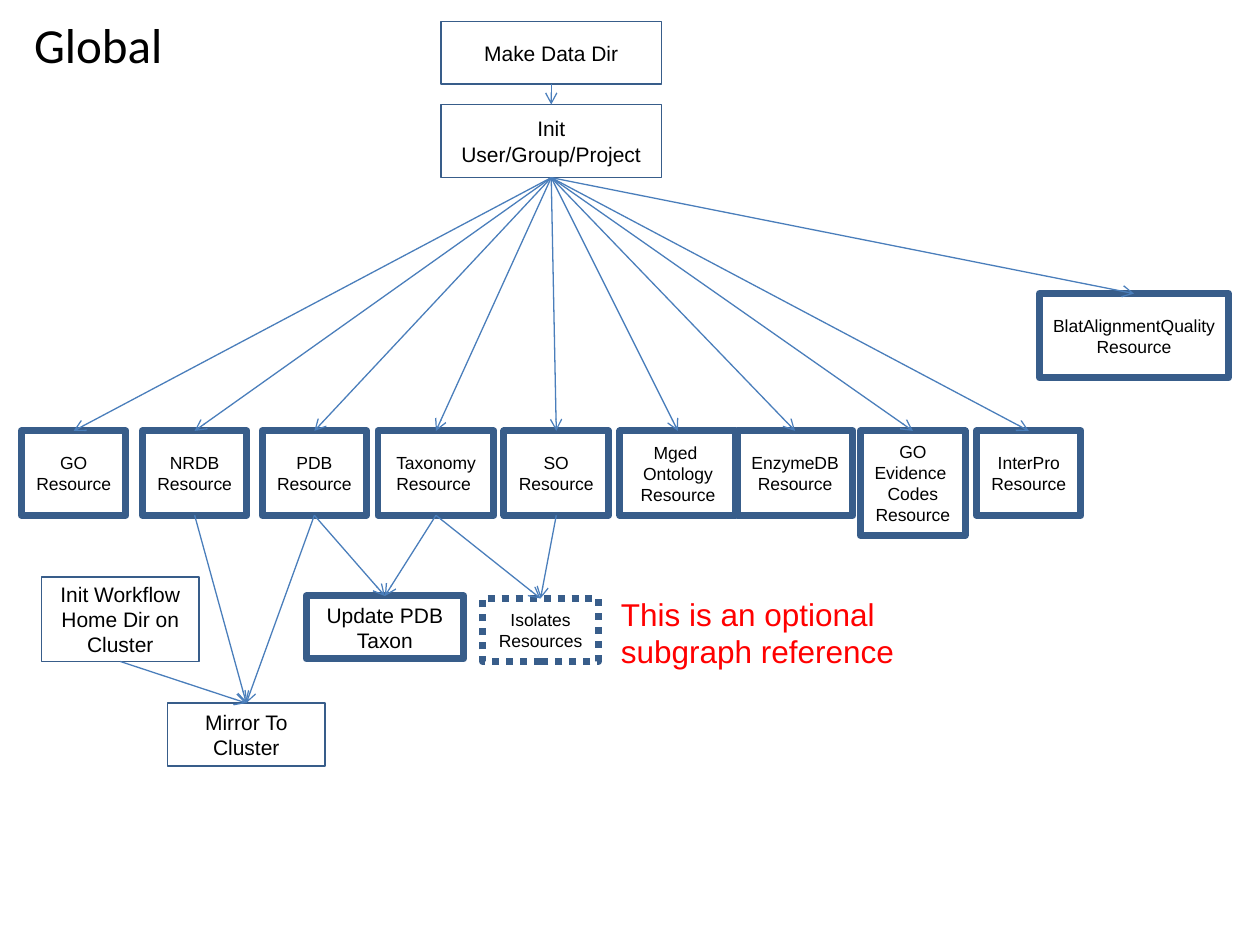
from dataclasses import dataclass

from lxml.etree import SubElement
from pptx import Presentation
from pptx.dml.color import RGBColor
from pptx.enum.dml import MSO_LINE
from pptx.enum.shapes import MSO_CONNECTOR, MSO_SHAPE
from pptx.enum.text import MSO_ANCHOR, PP_ALIGN
from pptx.oxml.ns import qn
from pptx.shapes.autoshape import Shape
from pptx.slide import Slide
from pptx.util import Inches, Pt

COLORS = {"edge": "385D8A", "arrow": "4A7EBB", "text": "000000",
          "note": "FF0000", "fill": "FFFFFF"}
BOTTOM, TOP = 2, 0
ROW = 3.42  # top of the resource row


@dataclass
class Box:
    key: str
    text: str
    left: float
    top: float
    width: float
    height: float
    size: int = 10
    line: float = 4
    dotted: bool = False
    filled: bool = False


BOXES = [
    Box("init", "Init User/Group/Project", 3.5, 0.83, 1.75, 0.58, 12, 1),
    Box("data", "Make Data Dir", 3.5, 0.17, 1.75, 0.5, 12, 1),
    Box("tax", "Taxonomy\nResource ", 3, ROW, 0.92, 0.67, filled=True),
    Box("go", "GO\nResource", 0.17, ROW, 0.83, 0.67, filled=True),
    Box("blat", "BlatAlignmentQuality Resource", 8.25, 2.33, 1.5, 0.67),
    Box("nrdb", "NRDB\nResource", 1.13, ROW, 0.83, 0.67),
    Box("pdb", "PDB\nResource", 2.08, ROW, 0.83, 0.67),
    Box("enzyme", "EnzymeDB\nResource", 5.85, ROW, 0.92, 0.67),
    Box("so", "SO\nResource", 4, ROW, 0.83, 0.67),
    Box("inter", "InterPro\nResource", 7.75, ROW, 0.83, 0.67),
    Box("codes", "GO\nEvidence \nCodes\nResource", 6.83, ROW, 0.83, 0.83),
    Box("update", "Update PDB Taxon", 2.43, 4.73, 1.25, 0.5, 12),
    Box("mged", "Mged \nOntology\nResource", 4.92, ROW, 0.92, 0.67),
    Box("iso", "Isolates\nResources", 3.83, 4.75, 0.92, 0.5, dotted=True),
    Box("mirror", "Mirror To Cluster", 1.33, 5.58, 1.25, 0.5, 12, 1),
    Box("home", "Init Workflow Home Dir on Cluster",
        0.33, 4.58, 1.25, 0.67, 12, 1),
]

# Each step leads to the steps listed after it.
FLOWS = {
    "data": ["init"],
    "init": ["go", "nrdb", "pdb", "tax", "so", "mged", "enzyme", "codes",
             "inter", "blat"],
    "nrdb": ["mirror"],
    "pdb": ["update", "mirror"],
    "tax": ["update", "iso"],
    "so": ["iso"],
    "home": ["mirror"],
}


def color(name: str) -> RGBColor:
    return RGBColor.from_string(COLORS[name])


def write(shape: Shape, text: str, size: int, tint: str = "text",
          face: str = "Arial", align: PP_ALIGN = PP_ALIGN.LEFT,
          anchor: MSO_ANCHOR = MSO_ANCHOR.MIDDLE) -> None:
    frame = shape.text_frame
    frame.text = text
    frame.word_wrap = True
    frame.vertical_anchor = anchor
    for para in frame.paragraphs:
        para.alignment = align
        para.font.size = Pt(size)
        para.font.name = face
        para.font.color.rgb = color(tint)


def draw_box(slide: Slide, box: Box) -> Shape:
    shape = slide.shapes.add_shape(
        MSO_SHAPE.RECTANGLE, Inches(box.left), Inches(box.top),
        Inches(box.width), Inches(box.height))
    shape.shadow.inherit = False
    if box.filled:
        shape.fill.solid()
        shape.fill.fore_color.rgb = color("fill")
    else:
        shape.fill.background()
    shape.line.color.rgb = color("edge")
    shape.line.width = Pt(box.line)
    if box.dotted:
        shape.line.dash_style = MSO_LINE.ROUND_DOT
    write(shape, box.text, box.size, align=PP_ALIGN.CENTER)
    return shape


def draw_arrow(slide: Slide, start: Shape, end: Shape) -> None:
    line = slide.shapes.add_connector(MSO_CONNECTOR.STRAIGHT, 0, 0, 0, 0)
    line.begin_connect(start, BOTTOM)
    line.end_connect(end, TOP)
    line.line.color.rgb = color("arrow")
    line.line.width = Pt(0.75)
    SubElement(line.line._get_or_add_ln(), qn("a:tailEnd"), type="arrow")
    SubElement(line._element.spPr, qn("a:effectLst"))


def main() -> None:
    deck = Presentation()
    deck.slide_width, deck.slide_height = Inches(10), Inches(7.5)
    slide = deck.slides.add_slide(deck.slide_layouts[5])

    title = slide.shapes.title
    title.left, title.top = Inches(0.17), Inches(0.08)
    title.width, title.height = Inches(5.58), Inches(0.53)
    write(title, "Global", 28, face="Calibri")

    shapes = {box.key: draw_box(slide, box) for box in BOXES}
    for start, ends in FLOWS.items():
        for end in ends:
            draw_arrow(slide, shapes[start], shapes[end])

    note = slide.shapes.add_textbox(
        Inches(4.83), Inches(4.67), Inches(2.67), Inches(0.7))
    write(note, "This is an optional subgraph reference", 18, "note",
          anchor=MSO_ANCHOR.TOP)
    deck.save("out.pptx")


if __name__ == "__main__":
    main()
